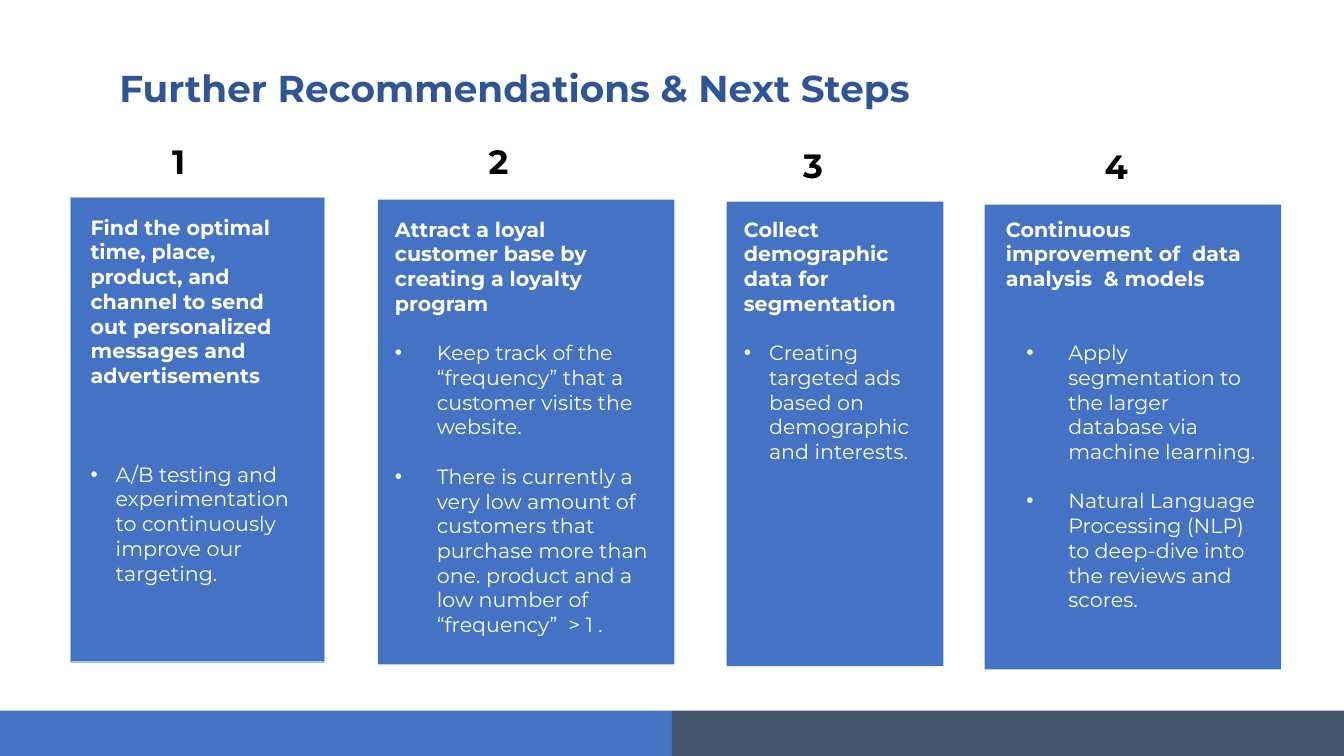
from pptx import Presentation
from pptx.dml.color import RGBColor
from pptx.enum.shapes import MSO_SHAPE
from pptx.util import Pt
from lxml.etree import SubElement
from pptx.oxml.ns import qn

BLUE, SLATE, WHITE, BLACK = "4472C4", "44546A", "FFFFFF", "000000"
LINE = 17.6  # height of one line of card text


def add_bar(left, top, width, height, color, edge=None):
    bar = slide.shapes.add_shape(MSO_SHAPE.RECTANGLE, Pt(left), Pt(top), Pt(width), Pt(height))
    bar.shadow.inherit = False
    bar.fill.solid()
    bar.fill.fore_color.rgb = RGBColor.from_string(color)
    if edge:
        bar.line.color.rgb = RGBColor.from_string(edge)
        bar.line.width = Pt(1)
    else:
        bar.line.fill.background()


def add_text(left, top, width, height, items, size, color):
    """Add a text box; items are (text, bold, space before, bullet indents or None)."""
    box = slide.shapes.add_textbox(Pt(left), Pt(top), Pt(width), Pt(height))
    frame = box.text_frame
    frame.word_wrap = True
    for i, (text, bold, gap, indent) in enumerate(items):
        para = frame.paragraphs[0] if i == 0 else frame.add_paragraph()
        para.text = text
        if gap:
            para.space_before = Pt(gap)
        if indent:
            props = para._p.get_or_add_pPr()
            props.set("marL", str(Pt(indent[0])))
            props.set("indent", str(Pt(-indent[1])))
            SubElement(props, qn("a:buFont")).set("typeface", "Arial")
            SubElement(props, qn("a:buChar")).set("char", "•")
        font = para.font
        font.name, font.size, font.bold = "Montserrat", Pt(size), bold
        font.color.rgb = RGBColor.from_string(color)
    return frame


deck = Presentation()
deck.slide_width, deck.slide_height = Pt(960), Pt(540)
slide = deck.slides.add_slide(deck.slide_layouts[6])

title = add_text(75.6, 40.3, 809.3, 98.6,
                 [("Further Recommendations & Next Steps", True, 0, None)], 26.7, "2F5597")
title.margin_left = title.margin_right = title.margin_top = title.margin_bottom = Pt(9.6)
title.paragraphs[0].line_spacing = 0.9

for left, color in ((0, BLUE), (480, SLATE)):
    add_bar(left, 507.6, 480, 32.4, color)

# card (left, top, width), edge, number (left, top), text (left, top, width, height),
# heading, blank lines below it, bullet indents, bullets
cards = [
    ((50.4, 141.1, 181.4), "9DC3E6", (115.9, 97.2), (57.6, 149.8, 167.8, 273.6),
     "Find the optimal time, place, product, and channel to send out personalized "
     "messages and advertisements", 3, (18, 18),
     ["A/B testing and experimentation to continuously improve our targeting."]),
    ((270, 142.6, 211.7), None, (342, 97.2), (275, 151.2, 197.3, 309.6),
     "Attract a loyal customer base by creating a loyalty program", 1, (30, 30),
     ["Keep track of the  “frequency” that a customer visits the website.",
      "There is currently a very low amount of customers that purchase more than one. "
      "product and a low number of “frequency”  > 1 ."]),
    ((519.1, 144, 154.8), None, (566.6, 100.1), (524.2, 151.2, 143.3, 185),
     "Collect demographic data for segmentation", 1, (18, 18),
     ["Creating targeted ads based on demographic and interests."]),
    ((703.4, 146.2, 211.7), None, (781.9, 100.8), (711.4, 151.2, 198, 291.6),
     "Continuous improvement of  data analysis  & models", 2, (44.6, 30),
     ["Apply segmentation to the larger database via machine learning.",
      "Natural Language Processing (NLP) to deep-dive into the reviews and scores."]),
]

for num, (card, edge, spot, area, head, blanks, indent, points) in enumerate(cards, 1):
    add_bar(*card, 331.9, BLUE, edge)
    add_text(*spot, 33.8, 36, [(str(num), True, 0, None)], 24, BLACK)
    items = [(head, True, 0, None)]
    for i, point in enumerate(points):
        items.append((point, False, LINE * (1 if i else blanks), indent))
    add_text(*area, items, 14.7, WHITE)

deck.save("out.pptx")
